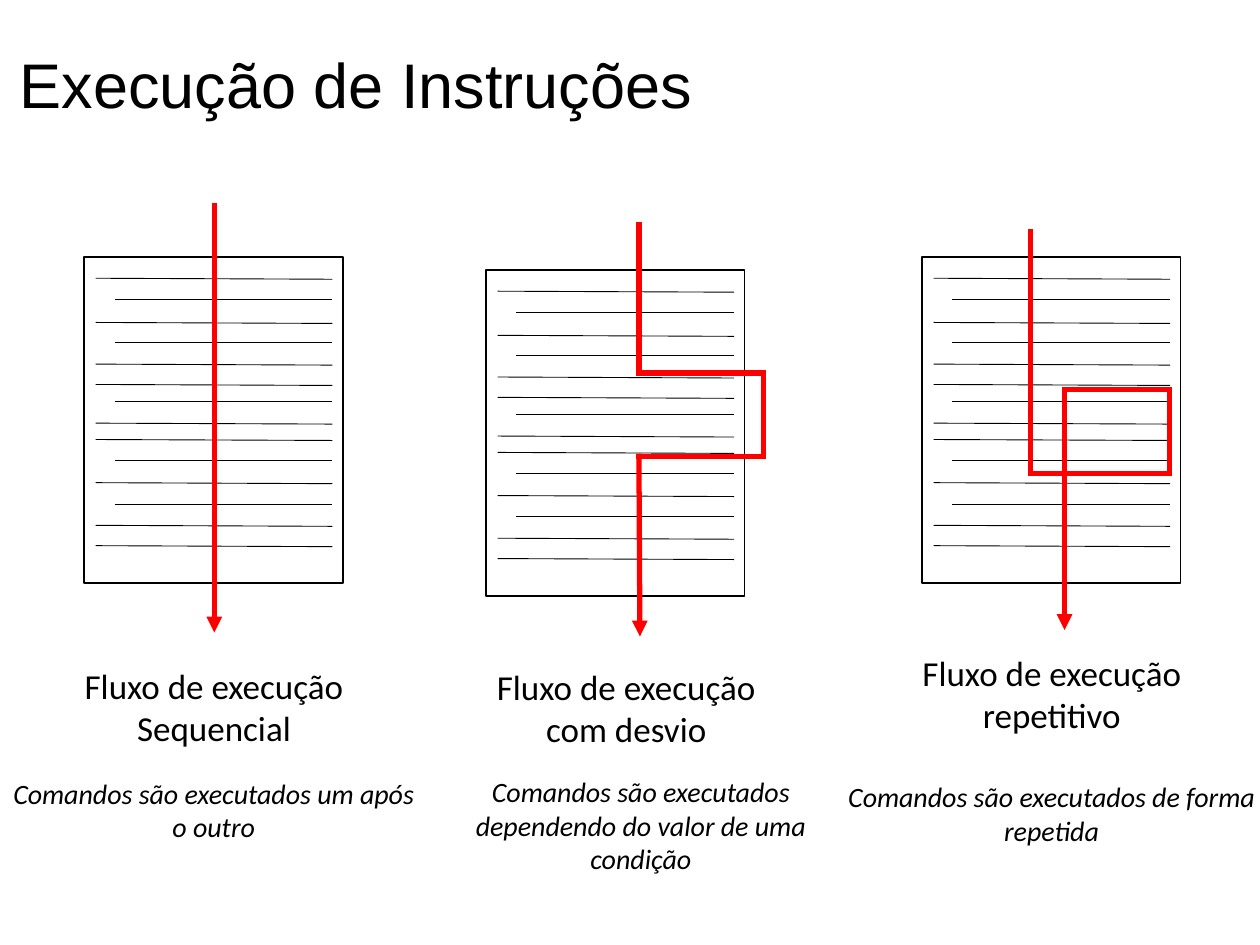
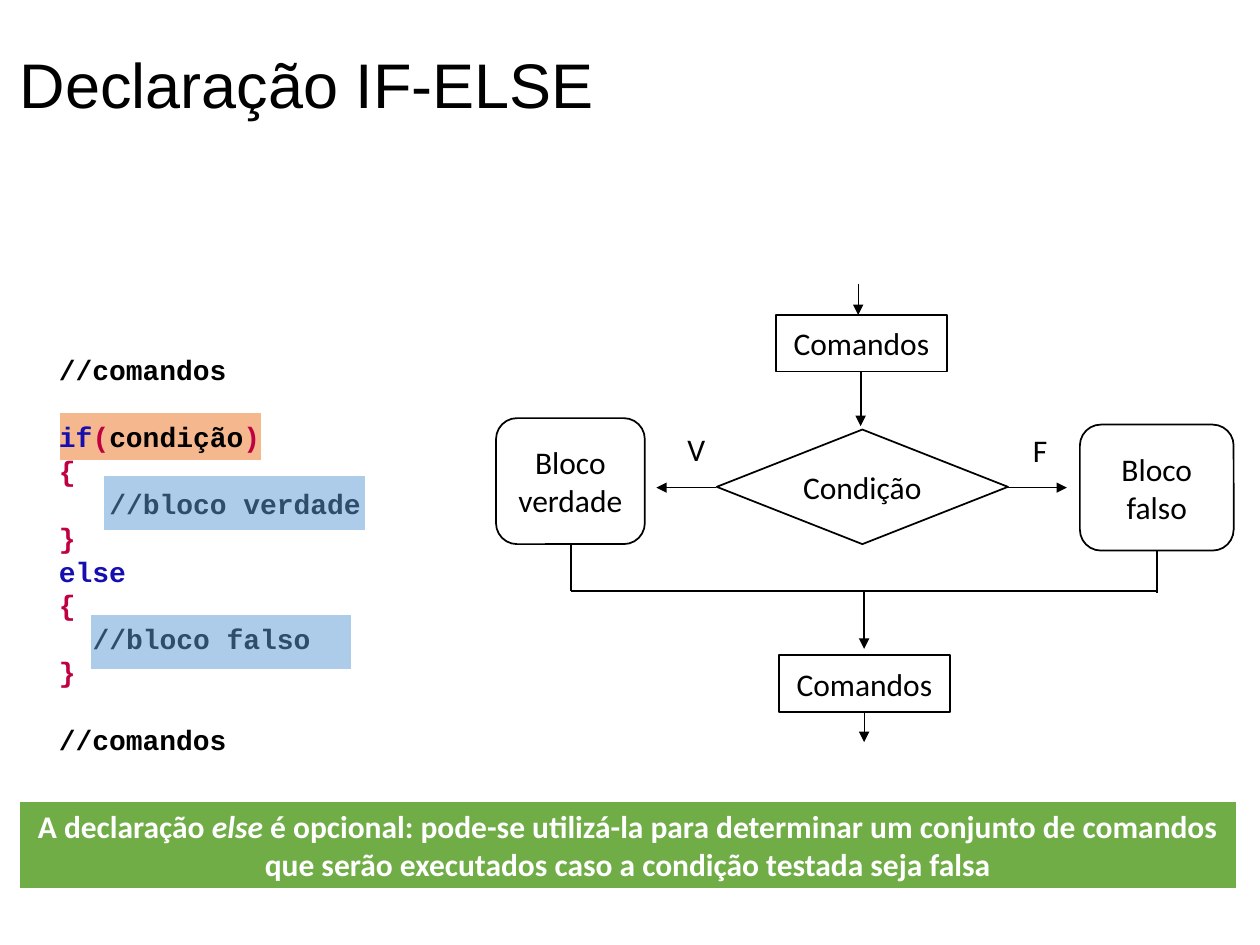
from itertools import pairwise

from lxml.etree import SubElement
from pptx import Presentation
from pptx.dml.color import RGBColor
from pptx.enum.shapes import MSO_CONNECTOR, MSO_SHAPE
from pptx.enum.text import MSO_ANCHOR, PP_ALIGN
from pptx.oxml.ns import qn
from pptx.util import Cm, Pt

COLORS = {
    "white": "FFFFFF",
    "black": "000000",
    "flow": "FF0000",
    "keyword": "160FB0",
    "symbol": "BF0041",
    "condition": "ED7D31",
    "block": "5B9BD5",
    "note": "70AD47",
}
TITLE_FONT, BODY_FONT, CODE_FONT = "Arial", "Calibri", "Courier New"

PAGE_W, PAGE_H = 5.21, 6.58
PAGE_LINES = [0.43, 0.86, 1.32, 1.73, 2.16, 2.57, 2.92,
              3.35, 3.68, 4.11, 4.55, 4.98, 5.41, 5.82]
INDENTED_LINES = {1, 3, 6, 9, 11}

# Places of route, caption and detail are relative to the page corner.
FLOWS = [
    {"page": (1.7, 5.18),
     "route": [(2.62, -1.04), (2.62, 7.57)],
     "caption": ("Fluxo de execução Sequencial", -0.61, 8.21),
     "detail": ("Comandos são executados um após o outro", -1.52, 10.47)},
    {"page": (9.8, 5.44),
     "route": [(3.08, -0.92), (3.08, 2.08), (5.59, 2.08),
               (5.59, 3.76), (3.08, 3.76), (3.1, 7.39)],
     "caption": ("Fluxo de execução com desvio", -0.4, 7.97),
     "detail": ("Comandos são executados dependendo do valor de uma condição",
                -1.01, 10.18)},
    {"page": (18.59, 5.18),
     "route": [(2.19, -0.51), (2.19, 4.37), (4.98, 4.37),
               (4.98, 2.67), (2.87, 2.67), (2.87, 7.52)],
     "caption": ("Fluxo de execução repetitivo", -0.61, 7.95),
     "detail": ("Comandos são executados de forma repetida", -1.52, 10.54)},
]

CODE_LINE = 19.2  # line height in points
CODE_CHAR = 9.6   # character width in points
# Each line: blank lines before it, indent in characters, runs
CODE = [
    (0, 0, [("//comandos", "black")]),
    (1, 0, [("if", "keyword"), ("(", "symbol"),
            ("condição", "black"), (")", "symbol")]),
    (0, 0, [("{", "symbol")]),
    (0, 3, [("//bloco verdade", "black")]),
    (0, 0, [("}", "symbol")]),
    (0, 0, [("else", "keyword")]),
    (0, 0, [("{", "symbol")]),
    (0, 2, [("//bloco falso", "black")]),
    (0, 0, [("}", "symbol")]),
    (1, 0, [("//comandos", "black")]),
]


def rgb(name):
    return RGBColor.from_string(COLORS[name])


def add_run(p, text, size, color="black", font=BODY_FONT, bold=False, italic=False):
    r = p.add_run()
    r.text = text
    f = r.font
    f.name, f.size, f.bold, f.italic = font, Pt(size), bold, italic
    f.color.rgb = rgb(color)


def add_box(s, x, y, w, h, anchor=MSO_ANCHOR.TOP):
    """Add a wrapping text box without margins and return its text frame."""
    tf = s.shapes.add_textbox(Cm(x), Cm(y), Cm(w), Cm(h)).text_frame
    tf.word_wrap = True
    tf.vertical_anchor = anchor
    tf.margin_left = tf.margin_right = tf.margin_top = tf.margin_bottom = 0
    return tf


def add_text(s, x, y, w, h, text, size, align=PP_ALIGN.CENTER,
             anchor=MSO_ANCHOR.TOP, **style):
    p = add_box(s, x, y, w, h, anchor).paragraphs[0]
    p.alignment = align
    add_run(p, text, size, **style)


def add_shape(s, kind, x, y, w, h, fill="white", line="black", width=1, opacity=None):
    sp = s.shapes.add_shape(kind, Cm(x), Cm(y), Cm(w), Cm(h))
    sp.shadow.inherit = False
    sp.fill.solid()
    sp.fill.fore_color.rgb = rgb(fill)
    sp.line.color.rgb = rgb(line)
    sp.line.width = Pt(width)
    if opacity:
        color = sp.fill._xPr.find(qn("a:solidFill"))[0]
        SubElement(color, qn("a:alpha")).set("val", str(opacity * 1000))
    return sp


def add_line(s, start, end, color="black", width=1.0, arrow=False, square=False):
    c = s.shapes.add_connector(MSO_CONNECTOR.STRAIGHT,
                               Cm(start[0]), Cm(start[1]), Cm(end[0]), Cm(end[1]))
    c.line.color.rgb = rgb(color)
    c.line.width = Pt(width)
    ln = c.line._get_or_add_ln()
    if square:
        ln.set("cap", "sq")
    if arrow:
        SubElement(ln, qn("a:tailEnd")).set("type", "triangle")
    SubElement(c._element.spPr, qn("a:effectLst"))


def add_slide(prs, title):
    s = prs.slides.add_slide(prs.slide_layouts[6])
    add_text(s, 0.4, 0.33, 24.8, 2.7, title, 36, align=PP_ALIGN.LEFT,
             anchor=MSO_ANCHOR.MIDDLE, font=TITLE_FONT)
    return s


def draw_page(s, x, y):
    add_shape(s, MSO_SHAPE.RECTANGLE, x, y, PAGE_W, PAGE_H)
    for i, dy in enumerate(PAGE_LINES):
        indented = i in INDENTED_LINES
        left, slope = (0.61, 0) if indented else (0.23, 0.02)
        add_line(s, (x + left, y + dy), (x + 5, y + dy + slope), width=0.5)


def draw_flow(s, flow):
    x, y = flow["page"]
    draw_page(s, x, y)
    route = [(x + dx, y + dy) for dx, dy in flow["route"]]
    for start, end in pairwise(route):
        add_line(s, start, end, "flow", 3, arrow=end == route[-1], square=True)
    text, dx, dy = flow["caption"]
    add_text(s, x + dx, y + dy, 6.45, 1.7, text, 20)
    text, dx, dy = flow["detail"]
    add_text(s, x + dx, y + dy, 8.26, 2.03, text, 16, italic=True)


def draw_code(s, x, y):
    add_shape(s, MSO_SHAPE.RECTANGLE, x, y + 1.2, 4.09, 0.99,
              "condition", "white", 1.5, 55)
    tf = add_box(s, x, y, 6.4, 8.13)
    for i, (blanks, indent, runs) in enumerate(CODE):
        p = tf.add_paragraph() if i else tf.paragraphs[0]
        p.line_spacing = Pt(CODE_LINE)
        p.space_before = Pt(blanks * CODE_LINE)
        p._p.get_or_add_pPr().set("marL", str(Pt(indent * CODE_CHAR)))
        for text, color in runs:
            add_run(p, text, 16, color, CODE_FONT, bold=True)
    for dx, dy in [(0.89, 2.47), (0.61, 5.26)]:
        add_shape(s, MSO_SHAPE.RECTANGLE, x + dx, y + dy, 5.31, 1.14,
                  "block", "white", 1.5, 50)


def draw_flowchart(s, x, y):
    steps = [
        ("Comandos", MSO_SHAPE.RECTANGLE, 5.64, 0.63, 3.45, 1.14),
        ("Condição", MSO_SHAPE.FLOWCHART_DECISION, 4.45, 2.94, 5.87, 2.31),
        ("Bloco verdade", MSO_SHAPE.ROUNDED_RECTANGLE, 0, 2.71, 3, 2.54),
        ("Bloco falso", MSO_SHAPE.ROUNDED_RECTANGLE, 11.77, 2.84, 3.1, 2.54),
        ("Comandos", MSO_SHAPE.RECTANGLE, 5.7, 7.49, 3.45, 1.14),
    ]
    for text, kind, dx, dy, w, h in steps:
        sp = add_shape(s, kind, x + dx, y + dy, w, h)
        tf = sp.text_frame
        tf.vertical_anchor = MSO_ANCHOR.MIDDLE
        tf.paragraphs[0].alignment = PP_ALIGN.CENTER
        add_run(tf.paragraphs[0], text, 18)

    # Each link: start, end, line width, arrowhead
    links = [
        ((7.3, 0), (7.3, 0.63), 0.5, True),
        ((7.35, 1.77), (7.35, 2.87), 1, True),
        ((4.43, 4.11), (3.23, 4.11), 1, True),
        ((10.29, 4.11), (11.51, 4.11), 1, True),
        ((13.32, 5.38), (13.32, 6.24), 1, False),
        ((1.51, 5.25), (1.51, 6.19), 1, False),
        ((1.51, 6.19), (13.32, 6.19), 1, False),
        ((7.42, 6.19), (7.42, 7.36), 1, True),
        ((7.42, 8.63), (7.42, 9.24), 0.5, True),
    ]
    for (x1, y1), (x2, y2), width, arrow in links:
        add_line(s, (x + x1, y + y1), (x + x2, y + y2), width=width, arrow=arrow)

    for text, dx, dy in [("V", 3.86, 2.94), ("F", 10.82, 2.97)]:
        add_text(s, x + dx, y + dy, 0.6, 0.8, text, 18, align=PP_ALIGN.LEFT)


def draw_note(s, x, y, w, h):
    sp = add_shape(s, MSO_SHAPE.RECTANGLE, x, y, w, h, "note", "white", 1.5)
    tf = sp.text_frame
    tf.vertical_anchor = MSO_ANCHOR.TOP
    p = tf.paragraphs[0]
    p.alignment = PP_ALIGN.CENTER
    for text, italic in [
        ("A declaração ", False),
        ("else", True),
        (" é opcional: pode-se utilizá-la para determinar um conjunto de "
         "comandos que serão executados caso a condição testada seja falsa", False),
    ]:
        add_run(p, text, 18, "white", bold=True, italic=italic)


def execution_slide(prs):
    s = add_slide(prs, "Execução de Instruções")
    for flow in FLOWS:
        draw_flow(s, flow)


def if_else_slide(prs):
    s = add_slide(prs, "Declaração IF-ELSE")
    draw_code(s, 1.19, 7.11)
    draw_flowchart(s, 10, 5.72)
    draw_note(s, 0.38, 16.15, 24.56, 1.78)


def main():
    prs = Presentation()
    prs.slide_width, prs.slide_height = Cm(25.4), Cm(19.05)
    execution_slide(prs)
    if_else_slide(prs)
    prs.save("out.pptx")


if __name__ == "__main__":
    main()
